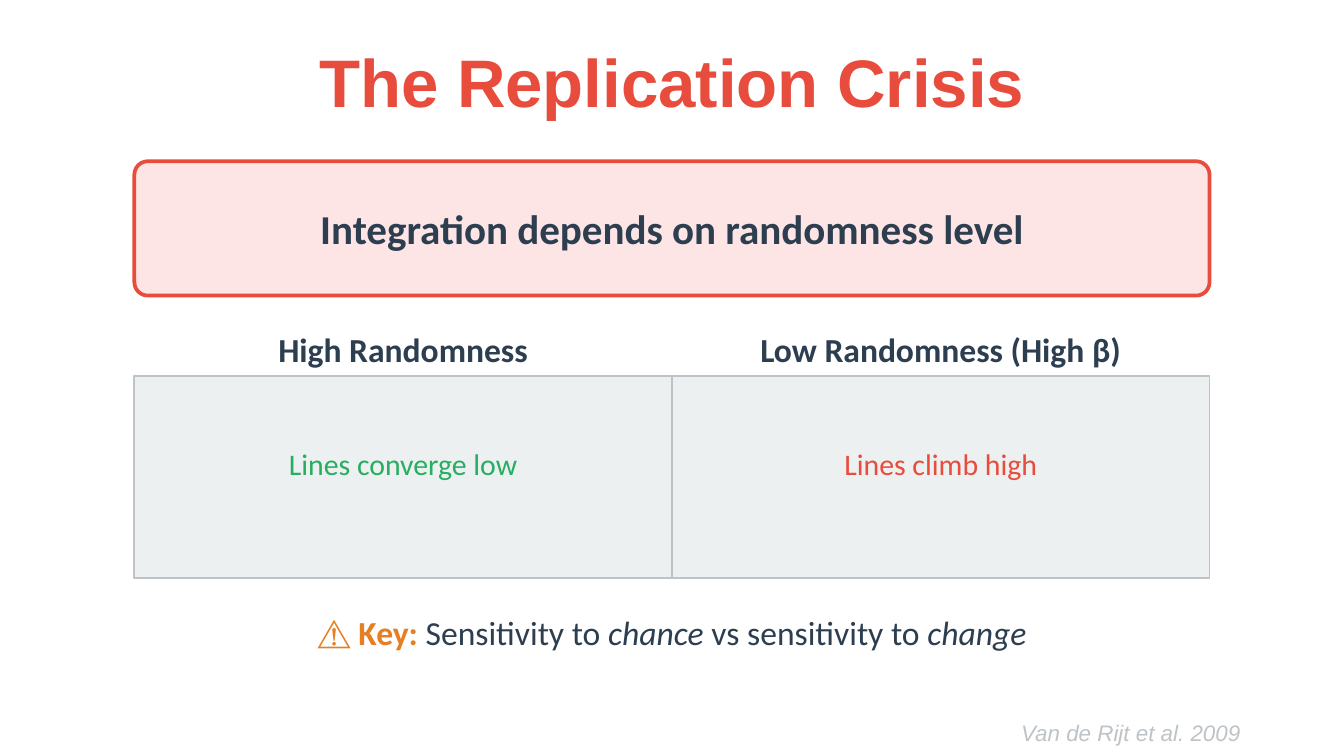
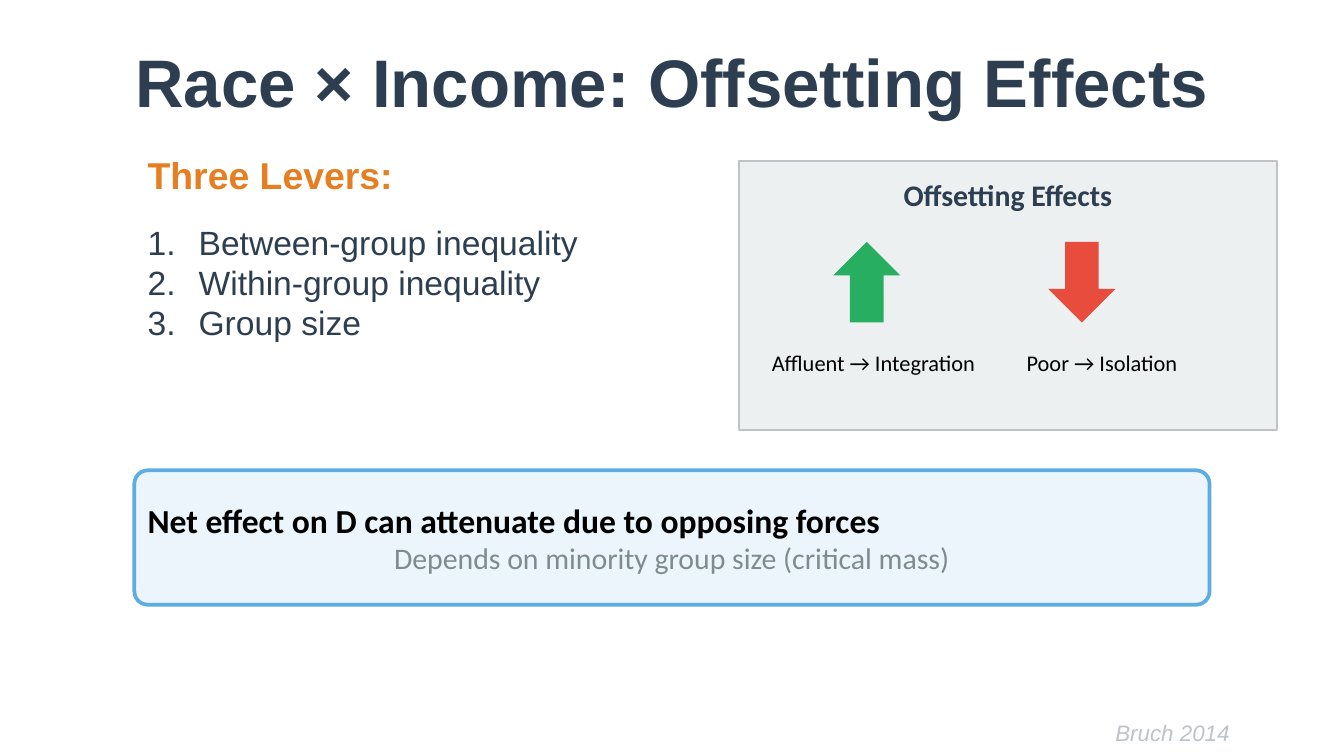
from lxml import etree
from pptx import Presentation
from pptx import util as u
from pptx.dml.color import RGBColor
from pptx.enum import shapes, text
from pptx.oxml import ns

COLORS = {
    "ink": "2C3E50", "red": "E74C3C", "green": "27AE60", "orange": "E67E22",
    "black": "000000", "gray": "7F8C8D", "silver": "BDC3C7", "panel": "ECF0F1",
    "pink": "FEE5E5", "sky": "EBF5FB", "blue": "5DADE2", "white": "FFFFFF",
}
HEAD, BODY = "Arial", "Calibri"
LEFT, CENTER = text.PP_ALIGN.LEFT, text.PP_ALIGN.CENTER
SHAPE = shapes.MSO_SHAPE


def rgb(name):
    return RGBColor.from_string(COLORS[name])


def run(words, size, color="ink", font=BODY, bold=False, italic=False):
    return words, size, color, font, bold, italic


class Deck:
    def __init__(self):
        self.prs = Presentation()
        self.prs.slide_width = u.Inches(10)
        self.prs.slide_height = u.Inches(5.625)
        self.slide = None

    def new_slide(self, title, color):
        self.slide = self.prs.slides.add_slide(self.prs.slide_layouts[6])
        background = self.slide.background.fill
        background.solid()
        background.fore_color.rgb = rgb("white")
        self.label((0.5, 0.3, 9, 0.6), run(title, 36, color, HEAD, bold=True))

    def paragraphs(self, box, rows, numbered=False):
        frame = self.slide.shapes.add_textbox(*map(u.Inches, box)).text_frame
        frame.word_wrap = True
        frame.vertical_anchor = text.MSO_ANCHOR.MIDDLE
        for index, (align, runs) in enumerate(rows):
            paragraph = frame.add_paragraph() if index else frame.paragraphs[0]
            paragraph.alignment = align
            if numbered:
                self.number(paragraph)
            for words, size, color, font, bold, italic in runs:
                piece = paragraph.add_run()
                piece.text = words
                piece.font.size = u.Pt(size)
                piece.font.name = font
                piece.font.bold = bold
                piece.font.italic = italic
                piece.font.color.rgb = rgb(color)

    def number(self, paragraph):
        props = paragraph._p.get_or_add_pPr()
        props.set("marL", str(u.Inches(0.38)))
        props.set("indent", str(-u.Inches(0.38)))
        etree.SubElement(props, ns.qn("a:buFont"), typeface="+mj-lt")
        etree.SubElement(props, ns.qn("a:buAutoNum"), type="arabicPeriod")

    def label(self, box, *runs, align=CENTER):
        self.paragraphs(box, [(align, runs)])

    def block(self, kind, box, fill, line=None, width=1):
        block = self.slide.shapes.add_shape(kind, *map(u.Inches, box))
        block.shadow.inherit = False
        block.fill.solid()
        block.fill.fore_color.rgb = rgb(fill)
        if line:
            block.line.color.rgb = rgb(line)
            block.line.width = u.Pt(width)
        else:
            block.line.fill.background()
        return block

    def panel(self, box):
        self.block(SHAPE.RECTANGLE, box, "panel", "silver")

    def callout(self, top, fill, line):
        callout = self.block(SHAPE.ROUNDED_RECTANGLE, (1, top, 8, 1), fill, line, 2)
        callout.adjustments[0] = 0.1

    def citation(self, left, width, words):
        self.label((left, 5.3, width, 0.3),
                   run(words, 12, "silver", HEAD, italic=True), align=LEFT)


def replication_slide(deck):
    deck.new_slide("The Replication Crisis", "red")
    deck.callout(1.2, "pink", "red")
    deck.label((1, 1.5, 8, 0.4),
               run("Integration depends on randomness level", 22, bold=True))
    scenarios = [("High Randomness", "Lines converge low", "green"),
                 ("Low Randomness (High β)", "Lines climb high", "red")]
    for column, (heading, outcome, color) in enumerate(scenarios):
        left = 1 + 4 * column
        deck.label((left, 2.4, 4, 0.4), run(heading, 18, bold=True))
        deck.panel((left, 2.8, 4, 1.5))
        deck.label((left, 3.3, 4, 0.3), run(outcome, 16, color))
    deck.label((1.5, 4.5, 7, 0.4),
               run("⚠️ Key: ", 18, "orange", bold=True),
               run("Sensitivity to ", 18),
               run("chance", 18, italic=True),
               run(" vs sensitivity to ", 18),
               run("change", 18, italic=True))
    deck.citation(7.5, 2.3, "Van de Rijt et al. 2009")


def offsetting_slide(deck):
    deck.new_slide("Race × Income: Offsetting Effects", "ink")
    deck.label((1, 1.1, 2.39, 0.4),
               run("Three Levers:", 20, "orange", HEAD, bold=True), align=LEFT)
    levers = ["Between-group inequality", "Within-group inequality", "Group size"]
    deck.paragraphs((1, 1.5, 4, 1.2),
                    [(LEFT, [run(lever, 18, font=HEAD)]) for lever in levers],
                    numbered=True)
    deck.panel((5.5, 1.2, 4, 2))
    deck.label((5.5, 1.3, 4, 0.3), run("Offsetting Effects", 16, bold=True))
    effects = [(SHAPE.UP_ARROW, 6.2, "green", 5.5, "Affluent → Integration"),
               (SHAPE.DOWN_ARROW, 7.8, "red", 7.2, "Poor → Isolation")]
    for arrow, arrow_left, color, caption_left, caption in effects:
        deck.block(arrow, (arrow_left, 1.8, 0.5, 0.6), color)
        deck.label((caption_left, 2.5, 2, 0.4), run(caption, 12, "black"))
    deck.callout(3.5, "sky", "blue")
    net_effect = run("Net effect on D can attenuate due to opposing forces",
                     18, "black", bold=True)
    condition = run("Depends on minority group size (critical mass)", 16, "gray")
    deck.paragraphs((1, 3.7, 8, 0.6), [(LEFT, [net_effect]), (CENTER, [condition])])
    deck.citation(8.2, 1.7, "Bruch 2014")


def main():
    deck = Deck()
    replication_slide(deck)
    offsetting_slide(deck)
    deck.prs.save("out.pptx")


if __name__ == "__main__":
    main()
